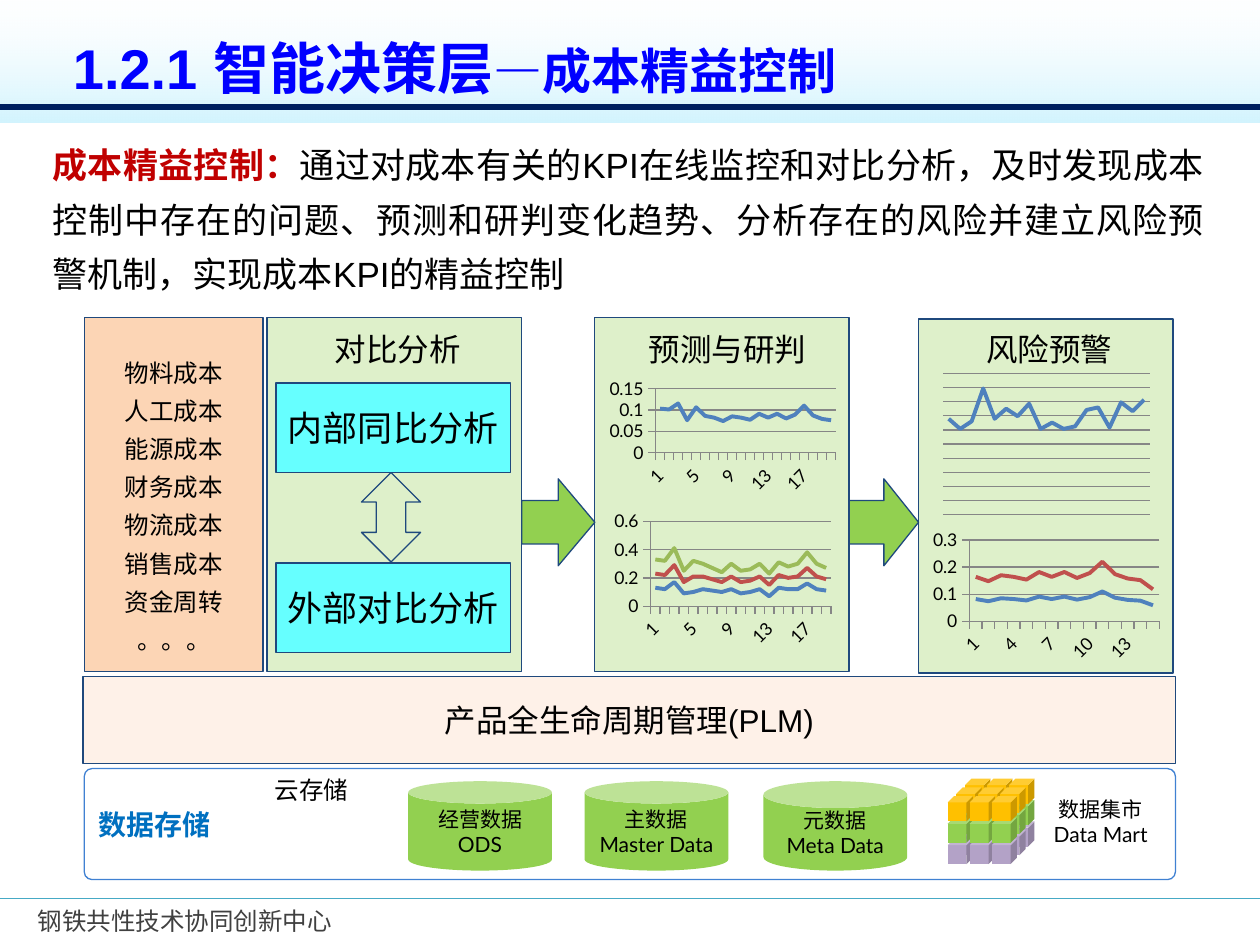
import pptx
import pptx.util
import pptx.oxml
import pptx.oxml.ns
import pptx.dml.color
import pptx.chart.data
import pptx.enum.chart
import pptx.enum.shapes
import pptx.enum.text
import lxml.etree

Pt = pptx.util.Pt
KIND = pptx.enum.shapes.MSO_SHAPE
ALIGN = pptx.enum.text.PP_ALIGN
ANCHOR = pptx.enum.text.MSO_ANCHOR
CJK = "Noto Sans CJK SC"
HUES = {
    "white": "FFFFFF", "black": "000000", "gray": "404040", "grid": "868686",
    "sky": "B6EDFE", "teal": "46AAC5", "navy": "002060", "edge": "1F497D",
    "green": "92D050", "cyan": "66FFFF", "peach": "FCD5B5", "frame": "4081D2",
    "label": "0070C0", "title": "0000FF", "lead": "C00000", "gold": "FFC000",
    "mauve": "B3A2C7", "blue": "4F81BD", "red": "C0504D", "olive": "9BBB59",
}
COSTS = ["物料成本", "人工成本", "能源成本", "财务成本",
         "物流成本", "销售成本", "资金周转", "。。。"]
TREND = [0.103, 0.101, 0.115, 0.076, 0.106, 0.086, 0.082, 0.074, 0.085, 0.082,
         0.077, 0.091, 0.082, 0.091, 0.08, 0.089, 0.11, 0.087, 0.079, 0.076]
BASE = [0.13, 0.12, 0.17, 0.09, 0.1, 0.12, 0.11, 0.1, 0.12, 0.09,
        0.1, 0.12, 0.07, 0.13, 0.12, 0.12, 0.16, 0.12, 0.11]
STEP = [0.1, 0.1, 0.12, 0.08, 0.11, 0.09, 0.08, 0.07, 0.09, 0.08,
        0.08, 0.09, 0.08, 0.09, 0.08, 0.09, 0.11, 0.09, 0.08]
SCORE = [76, 68, 74, 100, 76, 84, 78, 88, 68, 73, 68, 70, 83, 85, 69, 89, 82, 91]
RISK = [0.082, 0.074, 0.085, 0.082, 0.077, 0.091, 0.082, 0.091,
        0.08, 0.089, 0.11, 0.087, 0.079, 0.076, 0.059]


def rgb(hue):
    """Return the colour of a named hue."""
    return pptx.dml.color.RGBColor.from_string(HUES[hue])


def fade(node, share):
    """Give a colour node an opacity in percent."""
    tag = pptx.oxml.ns.qn("a:alpha")
    lxml.etree.SubElement(node, tag).set("val", str(share * 1000))


def style(font, size, hue, face="Arial", bold=False):
    """Set the look of a font."""
    font.size, font.name, font.bold = Pt(size), face, bold
    font.color.rgb = rgb(hue)


def write(shape, lines, size, hue="black", face="Arial", bold=False,
          align=ALIGN.LEFT, anchor=ANCHOR.TOP, wrap=True, space=None):
    """Write one paragraph per line into a shape."""
    frame = shape.text_frame
    frame.word_wrap, frame.vertical_anchor = wrap, anchor
    frame.text = "\n".join(lines)
    for para in frame.paragraphs:
        para.alignment, para.line_spacing = align, space
        style(para.font, size, hue, face, bold)


def label(slide, box, text, size, **look):
    """Add a text box."""
    shape = slide.shapes.add_textbox(*map(Pt, box))
    write(shape, text.split("\n"), size, **look)


def mixed(slide, box, parts, align=ALIGN.LEFT, space=None):
    """Add a one-paragraph text box whose runs differ."""
    frame = slide.shapes.add_textbox(*map(Pt, box)).text_frame
    frame.word_wrap = True
    para = frame.paragraphs[0]
    para.alignment, para.line_spacing = align, space
    for text, size, hue, bold in parts:
        run = para.add_run()
        run.text = text
        style(run.font, size, hue, bold=bold)


def block(home, kind, box, fill=None, edge=None, alpha=None, adj=None):
    """Add a preset shape to a slide or group."""
    shape = home.shapes.add_shape(kind, *map(Pt, box))
    shape.shadow.inherit = False
    if fill:
        shape.fill.solid()
        shape.fill.fore_color.rgb = rgb(fill)
    else:
        shape.fill.background()
    if alpha:
        fade(shape.element.xpath("./p:spPr/a:solidFill/a:srgbClr")[0], alpha)
    if edge:
        shape.line.color.rgb = rgb(edge)
        shape.line.width = Pt(0.75)
    else:
        shape.line.fill.background()
    if adj:
        shape.adjustments[0] = adj
    return shape


def rule(slide, top, hue, width):
    """Draw a line across the slide."""
    kind = pptx.enum.shapes.MSO_CONNECTOR.STRAIGHT
    line = slide.shapes.add_connector(kind, 0, Pt(top), Pt(720), Pt(top))
    line.line.color.rgb = rgb(hue)
    line.line.width = Pt(width)
    tag = pptx.oxml.ns.qn("a:effectLst")
    lxml.etree.SubElement(line.element.spPr, tag)


def banner(slide):
    """Add the shaded band behind the title."""
    fill = block(slide, KIND.RECTANGLE, (0, -11.5, 720, 81.4), "white").fill
    fill.gradient()
    fill.gradient_angle = 90
    for stop, hue, spot in zip(fill.gradient_stops, ("sky", "white"), (0, 1)):
        stop.color.rgb = rgb(hue)
        stop.position = spot
    band = slide.shapes[-1].element
    for node, share in zip(band.xpath("./p:spPr//a:gs/a:srgbClr"), (61, 0)):
        fade(node, share)


def chart(slide, box, rows, top, unit, shown=True):
    """Add a stacked line chart."""
    data = pptx.chart.data.CategoryChartData()
    data.categories = [str(n + 1) for n in range(len(rows[0]))]
    for n, row in enumerate(rows, 1):
        data.add_series(f"Series {n}", row)
    kind = pptx.enum.chart.XL_CHART_TYPE.LINE_STACKED
    plot = slide.shapes.add_chart(kind, *map(Pt, box), data).chart
    plot.has_legend = plot.has_title = False
    style(plot.font, 10, "black", "Lato")
    for axis in (plot.category_axis, plot.value_axis):
        axis.visible = shown
        axis.major_tick_mark = pptx.enum.chart.XL_TICK_MARK.OUTSIDE
        axis.format.line.color.rgb = rgb("grid")
    axis = plot.value_axis
    axis.minimum_scale, axis.maximum_scale, axis.major_unit = 0, top, unit
    axis.has_major_gridlines = True
    axis.major_gridlines.format.line.color.rgb = rgb("grid")
    for line, hue in zip(plot.plots[0].series, ("blue", "red", "olive")):
        line.smooth = False
        line.format.line.color.rgb = rgb(hue)
        line.format.line.width = Pt(2.25)


def can(slide, left, text, adj):
    """Add a data store."""
    shape = block(slide, KIND.CAN, (left, 446.4, 82.1, 51.1), "green", adj=adj)
    write(shape, text.split("\n"), 12, face="Lato", align=ALIGN.CENTER,
          anchor=ANCHOR.MIDDLE, wrap=False)
    tag = pptx.oxml.ns.qn("a:ea")
    for node in shape.element.xpath(".//a:defRPr"):
        lxml.etree.SubElement(node, tag).set("typeface", CJK)


def cubes(slide):
    """Stack three layers of nine cubes, back to front."""
    group = slide.shapes.add_group_shape()
    for tier, hue in enumerate(("mauve", "green", "gold")):
        for row in range(3):
            for col in range(3):
                left = 551.5 + 12.6 * col - 5 * row
                top = 469.4 - 12.2 * tier + 5 * row
                block(group, KIND.CUBE, (left, top, 14.4, 14.4), hue)


def costs(slide):
    """Add the column of cost items."""
    group = slide.shapes.add_group_shape()
    block(group, KIND.RECTANGLE, (48.2, 181.4, 102.2, 202.3), "peach", "edge")
    items = block(group, KIND.RECTANGLE, (59.8, 195.8, 79.2, 183.6), "peach")
    write(items, COSTS, 14, align=ALIGN.CENTER, space=1.3)


def main():
    """Build the slide."""
    deck = pptx.Presentation()
    deck.slide_width, deck.slide_height = Pt(720), Pt(540)
    slide = deck.slides.add_slide(deck.slide_layouts[6])
    mid = {"align": ALIGN.CENTER, "anchor": ANCHOR.MIDDLE}

    label(slide, (14.4, 514.1, 295.2, 24.5), "钢铁共性技术协同创新中心", 14,
          hue="gray", face=CJK, anchor=ANCHOR.MIDDLE)
    rule(slide, 513.4, "teal", 1)
    banner(slide)
    rule(slide, 61.2, "navy", 3)
    mixed(slide, (34.6, 15.8, 674.6, 46.1),
          [("1.2.1 智能决策层", 32, "title", True),
           ("—成本精益控制", 28, "title", True)])
    mixed(slide, (23, 71.3, 671.8, 101.5),
          [("成本精益控制：", 20, "lead", True),
           ("通过对成本有关的KPI在线监控和对比分析，及时发现成本控制中存在的问题、"
            "预测和研判变化趋势、分析存在的风险并建立风险预警机制，"
            "实现成本KPI的精益控制", 20, "black", False)],
          ALIGN.JUSTIFY, 1.3)

    costs(slide)
    for left, top, start, wide, text in (
            (152.6, 181.4, 184.3, 96.5, "对比分析"),
            (339.8, 181.4, 363.6, 108, "预测与研判"),
            (524.9, 182.2, 556.6, 96.5, "风险预警")):
        block(slide, KIND.RECTANGLE, (left, top, 145.4, 202.3), "green", "edge", 30)
        label(slide, (start, 185, wide, 28.8), text, 18)
    for top, text in ((218.9, "内部同比分析"), (321.8, "外部对比分析")):
        shape = block(slide, KIND.RECTANGLE, (157.7, top, 133.9, 51.1), "cyan", "edge")
        write(shape, [text], 20, wrap=False, **mid)
    block(slide, KIND.UP_DOWN_ARROW, (206.6, 270, 33.8, 51.1), edge="edge")
    for left, wide in ((298.1, 41.8), (485.3, 39.6)):
        block(slide, KIND.RIGHT_ARROW, (left, 273.6, wide, 49.7), "green", "edge")

    chart(slide, (345.6, 214.6, 134.6, 69.1), [TREND], 0.15, 0.05)
    chart(slide, (348.5, 290.2, 128.9, 81.4), [BASE, STEP, STEP], 0.6, 0.2)
    chart(slide, (536.4, 211.7, 123.1, 84.2), [SCORE], 112, 11.2, False)
    chart(slide, (530.6, 301, 134.6, 79.2), [RISK, RISK], 0.3, 0.1)

    shape = block(slide, KIND.RECTANGLE, (47.5, 386.6, 624.2, 49.7), "peach", "edge", 31)
    write(shape, ["产品全生命周期管理(PLM)"], 18, wrap=False, **mid)
    shape = block(slide, KIND.ROUNDED_RECTANGLE, (48.2, 439.2, 623.5, 63.4),
                  "white", "frame", adj=0.07)
    write(shape, ["数据存储"], 16, "label", bold=True, anchor=ANCHOR.MIDDLE)
    label(slide, (149.8, 439.2, 61.2, 24.5), "云存储", 14)
    can(slide, 233.3, "经营数据\nODS", 0.25)
    can(slide, 334.1, "主数据\nMaster Data", 0.25)
    can(slide, 436.3, "元数据\nMeta Data", 0.3)
    cubes(slide)
    label(slide, (592.6, 453.6, 72.7, 31.7), "数据集市\nData Mart", 12, face="Lato", **mid)
    deck.save("out.pptx")


if __name__ == "__main__":
    main()
